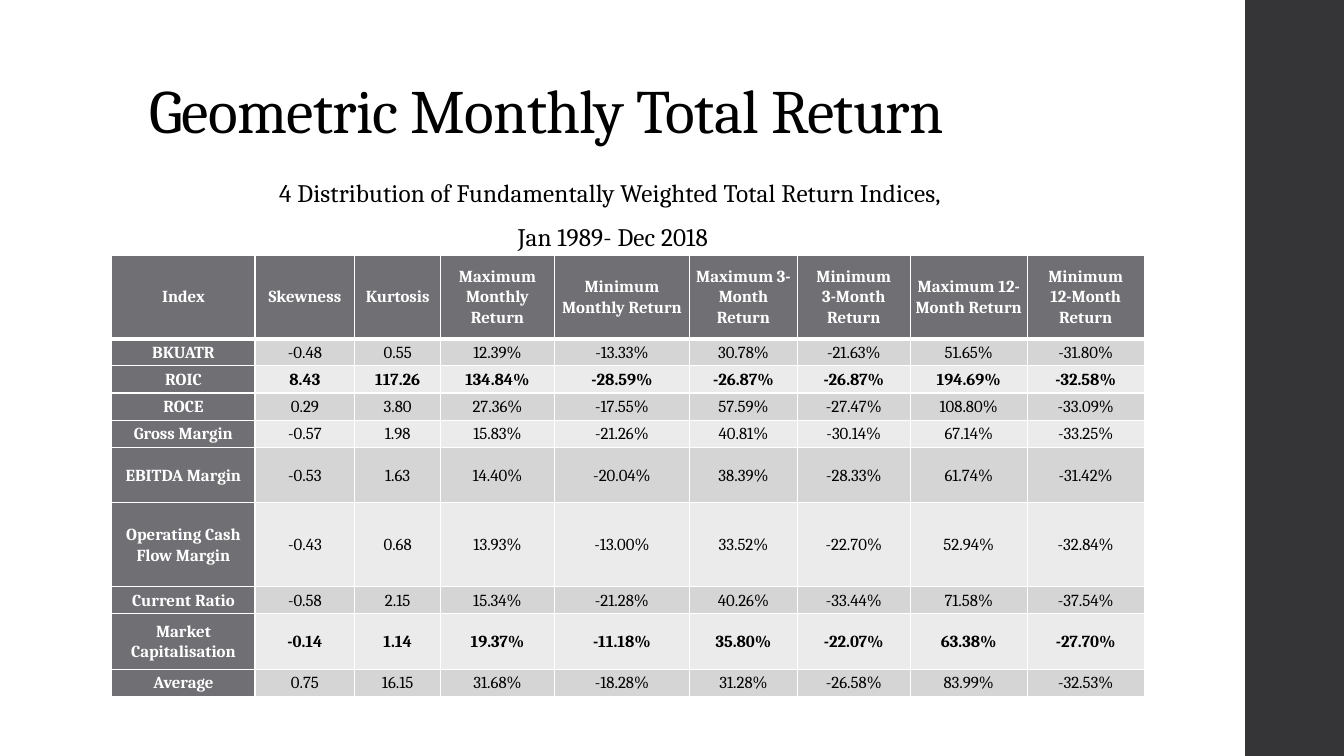
"""Build a slide with a table of fundamentally weighted total return indices."""
from dataclasses import dataclass

from lxml import etree
from pptx import Presentation
from pptx.dml.color import RGBColor
from pptx.enum.shapes import MSO_SHAPE
from pptx.enum.text import MSO_ANCHOR, MSO_AUTO_SIZE, PP_ALIGN
from pptx.oxml.ns import qn
from pptx.table import _Cell
from pptx.text.text import TextFrame
from pptx.util import Inches, Pt

RECTANGLE = MSO_SHAPE.RECTANGLE
MIDDLE = MSO_ANCHOR.MIDDLE
NO_AUTOFIT = MSO_AUTO_SIZE.NONE
LEFT, CENTER = PP_ALIGN.LEFT, PP_ALIGN.CENTER

FONT = "Cambria"
BLACK = RGBColor(0x00, 0x00, 0x00)
WHITE = RGBColor(0xFF, 0xFF, 0xFF)
SIDEBAR_GREY = RGBColor(0x35, 0x35, 0x37)
HEADING_GREY = RGBColor(0x6F, 0x6F, 0x74)
DARK_BAND = RGBColor(0xD5, 0xD5, 0xD6)
LIGHT_BAND = RGBColor(0xEB, 0xEB, 0xEB)
THIN, THICK = Pt(1), Pt(3)


@dataclass(frozen=True)
class Column:
    heading: str
    width: float


@dataclass(frozen=True)
class IndexRow:
    name: str
    figures: str
    height: float = 0.27
    highlighted: bool = False


@dataclass(frozen=True)
class TextStyle:
    size: float
    color: RGBColor = BLACK
    bold: bool = False
    align: PP_ALIGN = CENTER
    line_spacing: float = 1.0
    space_after: float = 0
    tracking: float = 0


COLUMNS = [
    Column("Index", 1.42),
    Column("Skewness", 0.99),
    Column("Kurtosis", 0.85),
    Column("Maximum Monthly Return", 1.13),
    Column("Minimum Monthly Return", 1.34),
    Column("Maximum 3-Month Return", 1.07),
    Column("Minimum\n3-Month Return", 1.12),
    Column("Maximum 12-Month Return", 1.16),
    Column("Minimum\n12-Month Return", 1.16),
]
HEADER_HEIGHT = 0.83
INDICES = [
    IndexRow("BKUATR", "-0.48 0.55 12.39% -13.33% 30.78% -21.63% 51.65% -31.80%"),
    IndexRow("ROIC", "8.43 117.26 134.84% -28.59% -26.87% -26.87% 194.69% -32.58%",
             highlighted=True),
    IndexRow("ROCE", "0.29 3.80 27.36% -17.55% 57.59% -27.47% 108.80% -33.09%"),
    IndexRow("Gross Margin", "-0.57 1.98 15.83% -21.26% 40.81% -30.14% 67.14% -33.25%"),
    IndexRow("EBITDA Margin", "-0.53 1.63 14.40% -20.04% 38.39% -28.33% 61.74% -31.42%",
             height=0.55),
    IndexRow("Operating Cash Flow Margin",
             "-0.43 0.68 13.93% -13.00% 33.52% -22.70% 52.94% -32.84%", height=0.83),
    IndexRow("Current Ratio", "-0.58 2.15 15.34% -21.28% 40.26% -33.44% 71.58% -37.54%"),
    IndexRow("Market Capitalisation",
             "-0.14 1.14 19.37% -11.18% 35.80% -22.07% 63.38% -27.70%",
             height=0.55, highlighted=True),
    IndexRow("Average", "0.75 16.15 31.68% -18.28% 31.28% -26.58% 83.99% -32.53%"),
]

TITLE_STYLE = TextStyle(44, align=LEFT, line_spacing=0.9, tracking=-0.5)
SUBTITLE_STYLE = TextStyle(18, space_after=10, tracking=0.1)
HEADING_STYLE = TextStyle(12, WHITE, bold=True, line_spacing=1.07)
FIGURE_STYLE = TextStyle(12, line_spacing=1.07)
HIGHLIGHT_STYLE = TextStyle(12, bold=True, line_spacing=1.07)


def write_text(frame: TextFrame, text: str, style: TextStyle) -> None:
    frame.text = text
    for paragraph in frame.paragraphs:
        paragraph.alignment = style.align
        paragraph.line_spacing = style.line_spacing
        paragraph.space_before = Pt(0)
        paragraph.space_after = Pt(style.space_after)
        for run in paragraph.runs:
            run.font.name = FONT
            run.font.size = Pt(style.size)
            run.font.bold = style.bold
            run.font.color.rgb = style.color
            if style.tracking:
                run._r.get_or_add_rPr().set("spc", str(round(style.tracking * 100)))


def add_borders(cell: _Cell, top: int, bottom: int) -> None:
    properties = cell._tc.get_or_add_tcPr()
    for side, width in (("L", THIN), ("R", THIN), ("T", top), ("B", bottom)):
        border = etree.SubElement(properties, qn(f"a:ln{side}"), w=str(width))
        fill = etree.SubElement(border, qn("a:solidFill"))
        etree.SubElement(fill, qn("a:srgbClr"), val=str(WHITE))


def fill_cell(cell: _Cell, text: str, style: TextStyle, color: RGBColor,
              top: int = THIN, bottom: int = THIN) -> None:
    add_borders(cell, top, bottom)
    cell.fill.solid()
    cell.fill.fore_color.rgb = color
    cell.margin_left = cell.margin_right = Inches(0.04)
    cell.margin_top = cell.margin_bottom = Inches(0)
    cell.vertical_anchor = MIDDLE
    write_text(cell.text_frame, text, style)


def add_returns_table(slide) -> None:
    width = sum(column.width for column in COLUMNS)
    height = HEADER_HEIGHT + sum(index.height for index in INDICES)
    table = slide.shapes.add_table(
        len(INDICES) + 1, len(COLUMNS), Inches(1.11), Inches(2.53),
        Inches(width), Inches(height)).table

    table.rows[0].height = Inches(HEADER_HEIGHT)
    for position, column in enumerate(COLUMNS):
        table.columns[position].width = Inches(column.width)
        fill_cell(table.cell(0, position), column.heading, HEADING_STYLE,
                  HEADING_GREY, bottom=THICK)

    for number, index in enumerate(INDICES, start=1):
        table.rows[number].height = Inches(index.height)
        top = THICK if number == 1 else THIN
        band = DARK_BAND if number % 2 else LIGHT_BAND
        style = HIGHLIGHT_STYLE if index.highlighted else FIGURE_STYLE
        fill_cell(table.cell(number, 0), index.name, HEADING_STYLE, HEADING_GREY, top=top)
        for position, figure in enumerate(index.figures.split(), start=1):
            fill_cell(table.cell(number, position), figure, style, band, top=top)


def main() -> None:
    presentation = Presentation()
    presentation.slide_width, presentation.slide_height = Inches(13.33), Inches(7.5)
    slide = presentation.slides.add_slide(presentation.slide_layouts[5])

    sidebar = slide.shapes.add_shape(
        RECTANGLE, Inches(12.35), Inches(0), Inches(0.98), Inches(7.5))
    sidebar.shadow.inherit = False
    sidebar.fill.solid()
    sidebar.fill.fore_color.rgb = SIDEBAR_GREY
    sidebar.line.fill.background()

    add_returns_table(slide)

    title = slide.shapes.title
    title.left, title.top = Inches(1.38), Inches(0.4)
    title.width, title.height = Inches(10.6), Inches(1.45)
    title.text_frame.auto_size = NO_AUTOFIT
    title.text_frame.vertical_anchor = MIDDLE
    write_text(title.text_frame, "Geometric Monthly Total Return", TITLE_STYLE)

    subtitle = slide.shapes.add_textbox(
        Inches(0.18), Inches(1.71), Inches(11.8), Inches(0.85))
    subtitle.text_frame.word_wrap = True
    write_text(
        subtitle.text_frame,
        "4 Distribution of Fundamentally Weighted Total Return Indices, \nJan 1989- Dec 2018",
        SUBTITLE_STYLE)

    presentation.save("out.pptx")


if __name__ == "__main__":
    main()
